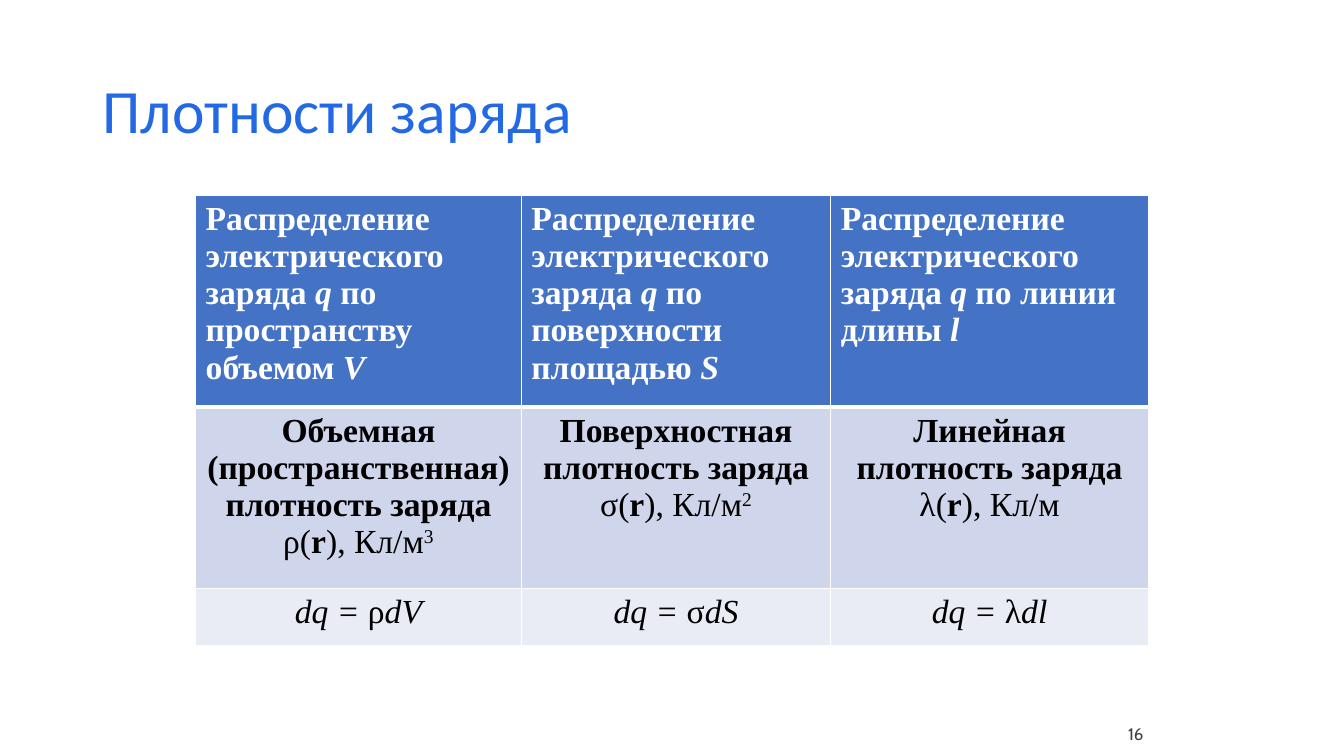
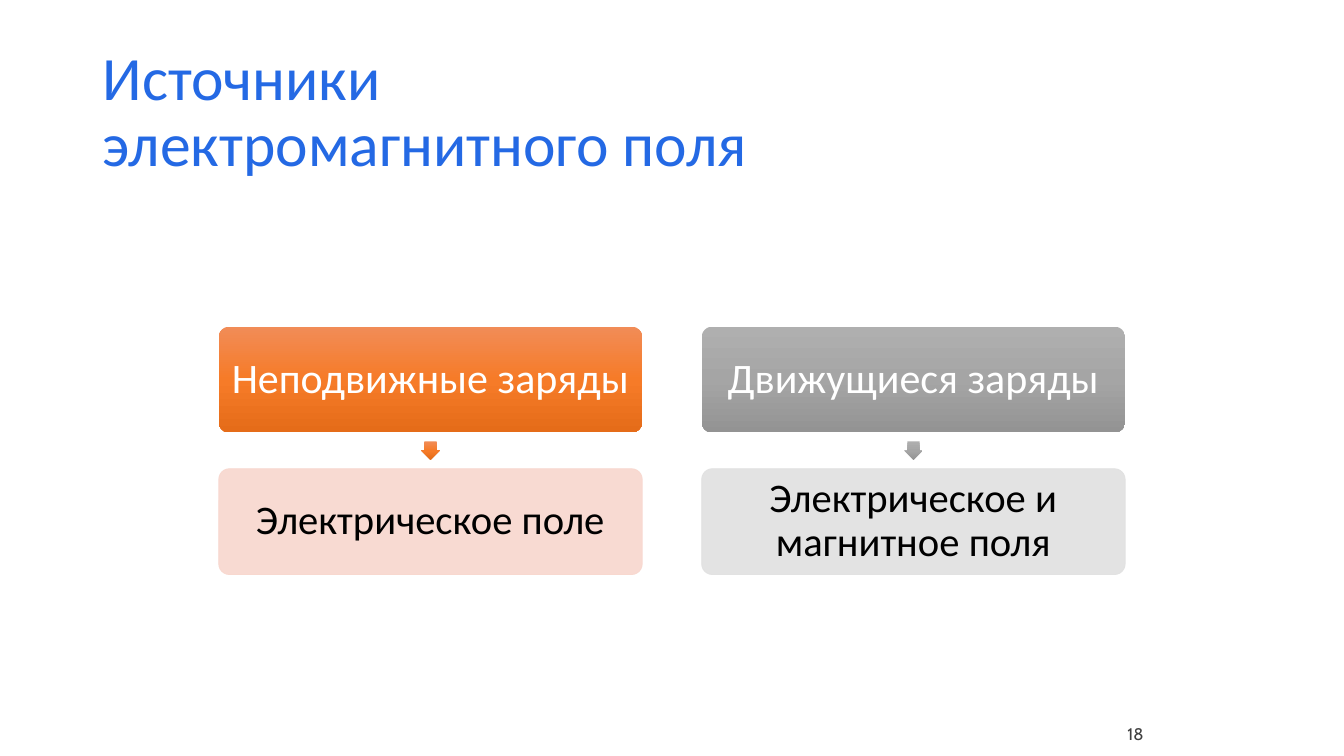
from lxml import etree
from pptx import Presentation
from pptx.dml.color import RGBColor
from pptx.enum import shapes, text
from pptx.oxml import ns
from pptx.util import Inches, Pt

TITLE_BLUE = RGBColor(0x24, 0x69, 0xE4)
HEADER_BLUE = RGBColor(0x44, 0x72, 0xC4)
BAND_DARK = RGBColor(0xCF, 0xD5, 0xEA)
BAND_LIGHT = RGBColor(0xE9, 0xEB, 0xF5)
NUMBER_GREY = RGBColor(0x3F, 0x3F, 0x3F)
WHITE = RGBColor(0xFF, 0xFF, 0xFF)
BLACK = RGBColor(0, 0, 0)
ORANGES = (RGBColor(0xF1, 0x8C, 0x57), RGBColor(0xF6, 0x7B, 0x28), RGBColor(0xE5, 0x6C, 0x19))
GREYS = (RGBColor(0xAF, 0xAF, 0xAF), RGBColor(0xA5, 0xA5, 0xA5), RGBColor(0x93, 0x93, 0x93))
PALE_ORANGE = RGBColor(0xF8, 0xD7, 0xCE)
PALE_GREY = RGBColor(0xE1, 0xE1, 0xE1)

LEFT, CENTER, RIGHT = text.PP_ALIGN.LEFT, text.PP_ALIGN.CENTER, text.PP_ALIGN.RIGHT
MIDDLE, BOTTOM = text.MSO_ANCHOR.MIDDLE, text.MSO_ANCHOR.BOTTOM

# Runs are (text, style); style letters: b bold, i italic, ^ superscript
DENSITIES = [
    [
        [("Распределение электрического заряда ", "b"), ("q", "bi"),
         (f" по {region} ", "b"), (symbol, "bi")]
        for region, symbol in [("пространству объемом", "V"),
                               ("поверхности площадью", "S"),
                               ("линии длины", "l")]
    ],
    [
        [(f"{kind} плотность заряда ", "b"), (f"{symbol}(", ""), ("r", "b"),
         ("), Кл/м", ""), (power, "^")]
        for kind, symbol, power in [("Объемная (пространственная)", "ρ", "3"),
                                    ("Поверхностная", "σ", "2"),
                                    ("Линейная", "λ", "")]
    ],
    [
        [("dq = ", "i"), (symbol, ""), (element, "i")]
        for symbol, element in [("ρ", "dV"), ("σ", "dS"), ("λ", "dl")]
    ],
]
COLUMN_WIDTHS = (3.23, 3.07, 3.15)
# height, fill, text colour, alignment, top border, bottom border
ROW_STYLES = [
    (2.1, HEADER_BLUE, WHITE, LEFT, 1, 3),
    (1.8, BAND_DARK, BLACK, CENTER, 3, 1),
    (0.56, BAND_LIGHT, BLACK, CENTER, 1, 1),
]

# cause, effect, gradient, pale fill
SOURCES = [
    ("Неподвижные заряды", "Электрическое поле", ORANGES, PALE_ORANGE),
    ("Движущиеся заряды", "Электрическое и магнитное поля", GREYS, PALE_GREY),
]
SOURCES_LEFT, COLUMN_STEP = 2.17, 4.79
BOX_WIDTH, BOX_HEIGHT = 4.2, 1.05
CAUSE_TOP, EFFECT_TOP = 3.24, 4.65
ARROW_SIZE = 0.18


def write(frame, content, size, color, font="Calibri", align=LEFT, anchor=None,
          spacing=None, margins=None):
    """Fill a text frame with a string or a list of (text, style) runs."""
    frame.word_wrap = True
    if anchor is not None:
        frame.vertical_anchor = anchor
    if margins:
        (frame.margin_left, frame.margin_top,
         frame.margin_right, frame.margin_bottom) = map(Inches, margins)
    paragraph = frame.paragraphs[0]
    paragraph.alignment = align
    paragraph.line_spacing = spacing
    runs = [(content, "")] if isinstance(content, str) else content
    for words, style in runs:
        for index, line in enumerate(words.split("\n")):
            if index:
                paragraph.add_line_break()
            if not line:
                continue
            run = paragraph.add_run()
            run.text = line
            run.font.name, run.font.size = font, Pt(size)
            run.font.color.rgb = color
            run.font.bold, run.font.italic = "b" in style, "i" in style
            if "^" in style:
                run.font._element.set("baseline", "30000")


def add_text(slide, content, box, **style):
    frame = slide.shapes.add_textbox(*map(Inches, box)).text_frame
    write(frame, content, **style)


def start_slide(deck, title, number):
    slide = deck.slides.add_slide(deck.slide_layouts[6])
    add_text(slide, title, (0.92, 0.4, 11.5, 1.45), size=44, color=TITLE_BLUE,
             anchor=MIDDLE, spacing=0.9)
    add_text(slide, number, (10.64, 7.08, 0.8, 0.3), size=12, color=NUMBER_GREY,
             font="Cabin", align=RIGHT, anchor=BOTTOM, margins=(0.1, 0.05, 0.1, 0))
    return slide


def sub(parent, tag, **attributes):
    return etree.SubElement(parent, ns.qn(tag), attributes)


def set_borders(cell, top, bottom):
    properties = cell._tc.get_or_add_tcPr()
    sides = [("L", 1), ("R", 1), ("T", top), ("B", bottom)]
    for index, (side, width) in enumerate(sides):
        border = sub(properties, f"a:ln{side}", w=str(Pt(width)))
        sub(sub(border, "a:solidFill"), "a:srgbClr", val=str(WHITE))
        properties.insert(index, border)


def add_shape(slide, preset, box, adjustments):
    shape = slide.shapes.add_shape(preset, *map(Inches, box))
    shape.shadow.inherit = False
    for index, value in enumerate(adjustments):
        shape.adjustments[index] = value
    return shape


def fill_gradient(shape, colors):
    """Paint evenly spaced stops from top to bottom, without an outline."""
    shape.line.fill.background()
    shape.fill.background()
    properties = shape._element.spPr
    gradient = etree.Element(ns.qn("a:gradFill"), rotWithShape="1")
    stops = sub(gradient, "a:gsLst")
    for index, color in enumerate(colors):
        position = 100000 * index // (len(colors) - 1)
        sub(sub(stops, "a:gs", pos=str(position)), "a:srgbClr", val=str(color))
    sub(gradient, "a:lin", ang="5400000", scaled="0")
    properties.replace(properties.find(ns.qn("a:noFill")), gradient)


def fill_pale(shape, color):
    shape.fill.solid()
    shape.fill.fore_color.rgb = color
    shape.line.color.rgb = color
    shape.line.width = Pt(0.5)
    for tint in shape._element.spPr.iter(ns.qn("a:srgbClr")):
        sub(tint, "a:alpha", val="90000")


def add_box(slide, label, left, top, size, color):
    box = add_shape(slide, shapes.MSO_SHAPE.ROUNDED_RECTANGLE,
                    (left, top, BOX_WIDTH, BOX_HEIGHT), [0.1])
    write(box.text_frame, label, size, color, align=CENTER, anchor=MIDDLE,
          spacing=0.9, margins=(0.07,) * 4)
    return box


def build_densities(deck):
    slide = start_slide(deck, "Плотности заряда", "16")
    height = sum(style[0] for style in ROW_STYLES)
    table = slide.shapes.add_table(
        len(DENSITIES), len(COLUMN_WIDTHS), Inches(1.94), Inches(1.94),
        Inches(sum(COLUMN_WIDTHS)), Inches(height)).table
    for column, width in zip(table.columns, COLUMN_WIDTHS):
        column.width = Inches(width)
    for row, contents, style in zip(table.rows, DENSITIES, ROW_STYLES):
        row_height, fill, color, align, top, bottom = style
        row.height = Inches(row_height)
        for cell, runs in zip(row.cells, contents):
            cell.fill.solid()
            cell.fill.fore_color.rgb = fill
            set_borders(cell, top, bottom)
            write(cell.text_frame, runs, 24, color, font="Times New Roman", align=align)


def build_sources(deck):
    slide = start_slide(deck, "Источники\nэлектромагнитного поля", "18")
    arrow_top = (CAUSE_TOP + BOX_HEIGHT + EFFECT_TOP - ARROW_SIZE) / 2
    for index, (cause, effect, gradient, pale) in enumerate(SOURCES):
        left = SOURCES_LEFT + index * COLUMN_STEP
        fill_gradient(add_box(slide, cause, left, CAUSE_TOP, 30, WHITE), gradient)
        arrow_left = left + (BOX_WIDTH - ARROW_SIZE) / 2
        arrow = add_shape(slide, shapes.MSO_SHAPE.DOWN_ARROW,
                          (arrow_left, arrow_top, ARROW_SIZE, ARROW_SIZE), [0.67, 0.5])
        fill_gradient(arrow, gradient)
        fill_pale(add_box(slide, effect, left, EFFECT_TOP, 29, BLACK), pale)


def main():
    deck = Presentation()
    deck.slide_width, deck.slide_height = Inches(13.33), Inches(7.5)
    build_densities(deck)
    build_sources(deck)
    deck.save("out.pptx")


if __name__ == "__main__":
    main()
